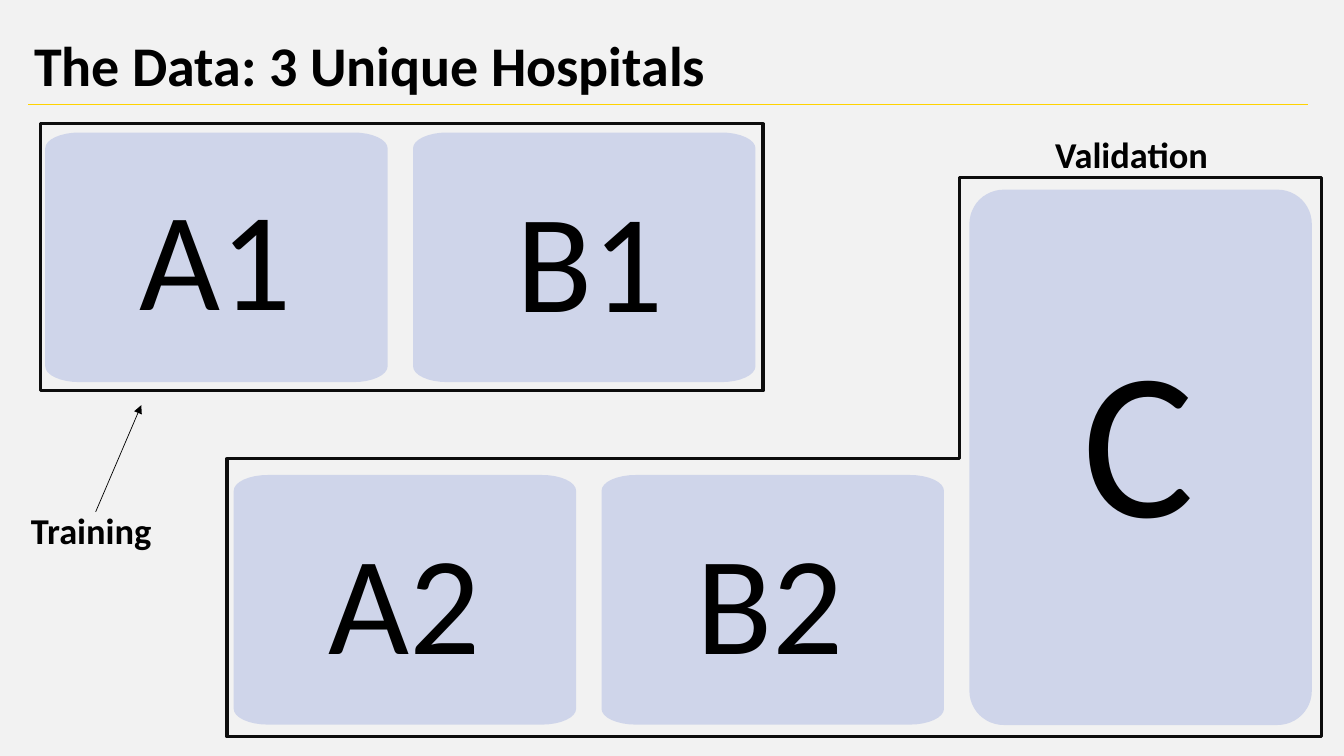
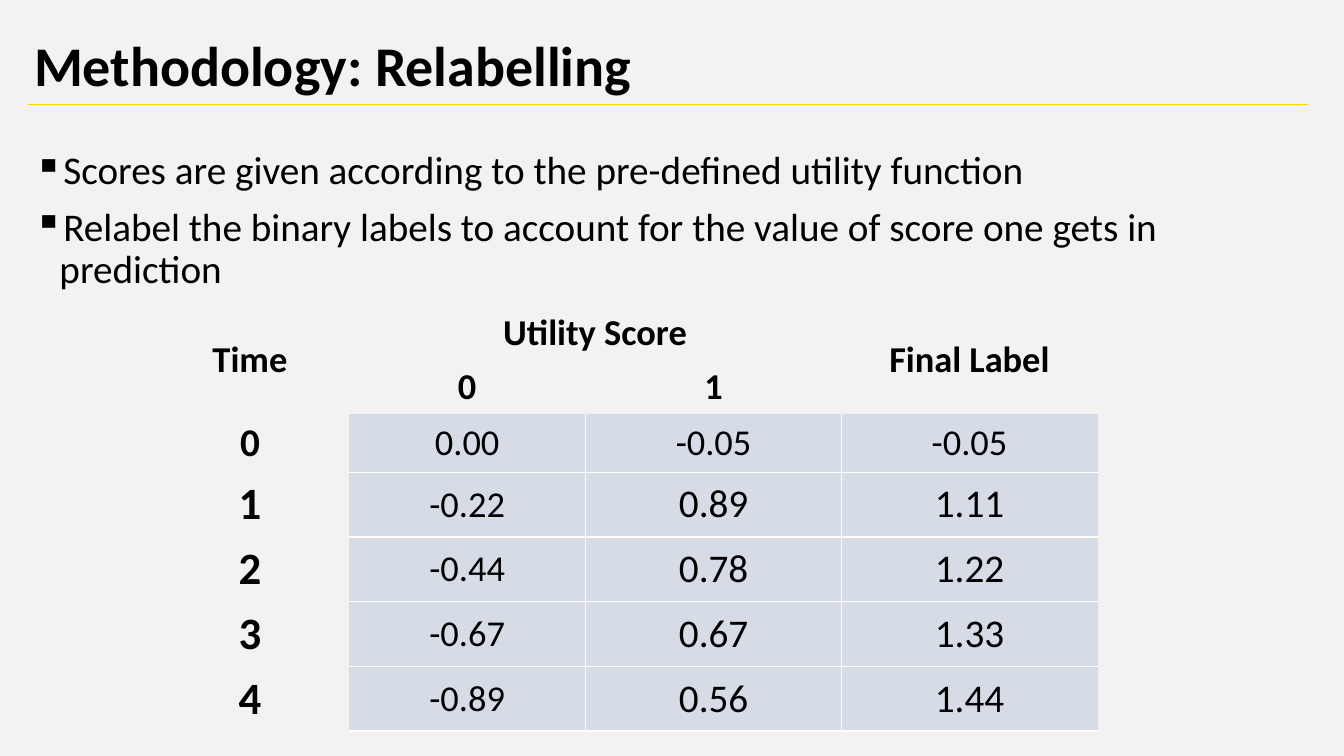
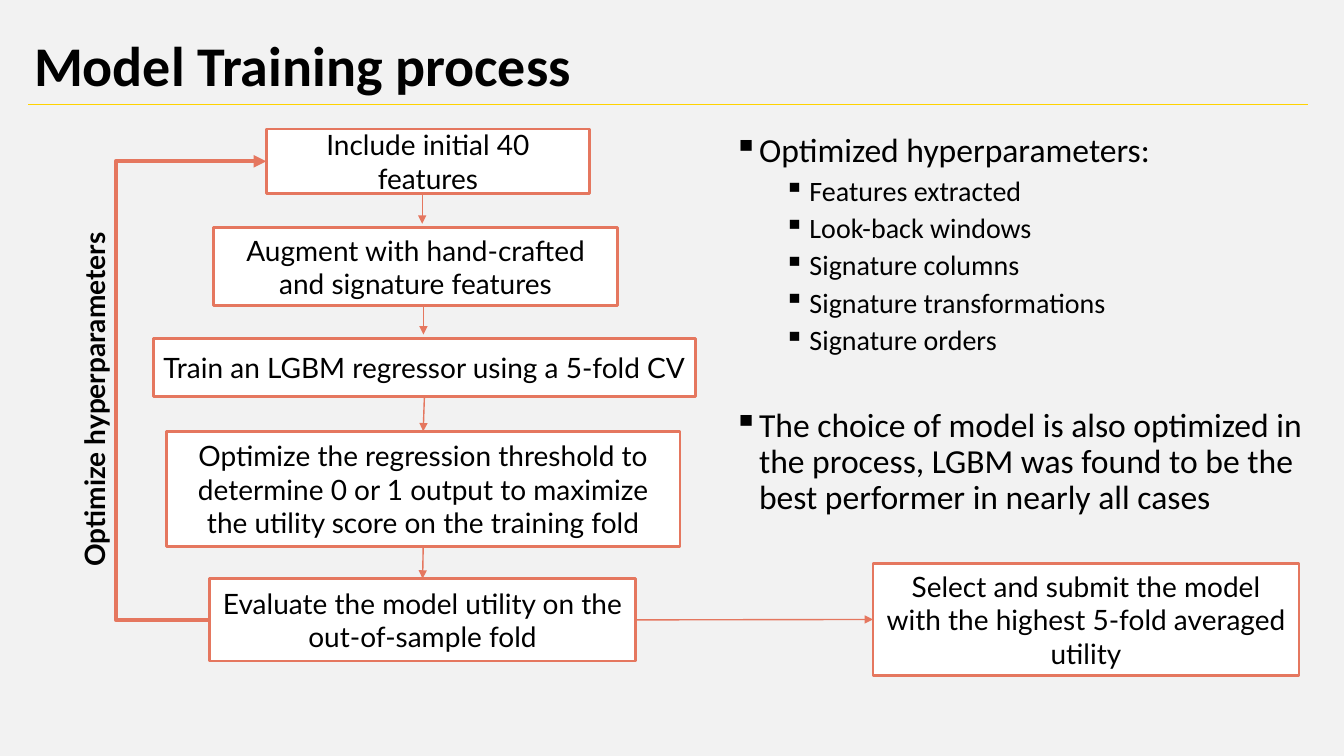
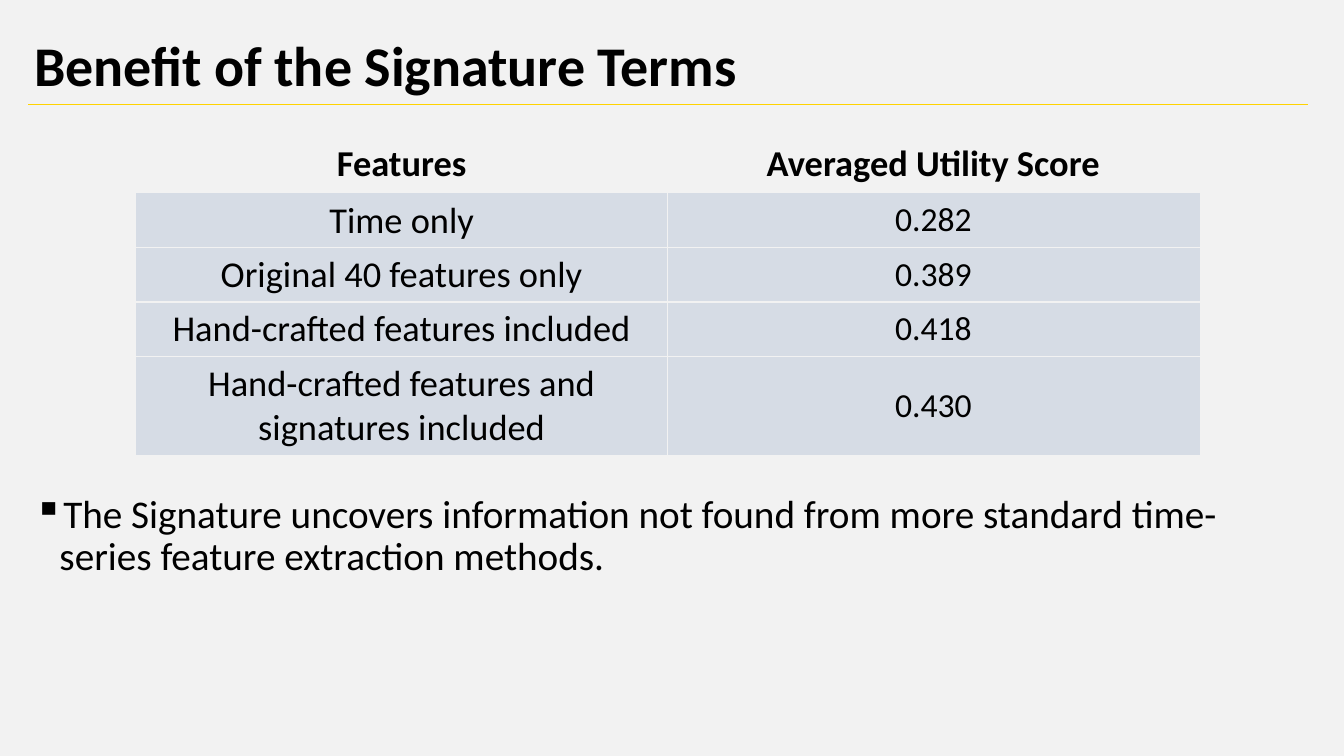
from math import cos, pi, sin

from lxml import etree
from pptx import Presentation
from pptx.dml.color import RGBColor
from pptx.enum.shapes import MSO_CONNECTOR, MSO_SHAPE
from pptx.enum.text import MSO_ANCHOR, PP_ALIGN
from pptx.oxml.ns import qn
from pptx.util import Cm, Pt

RECT = MSO_SHAPE.RECTANGLE
ROUND = MSO_SHAPE.ROUNDED_RECTANGLE
LINE = MSO_CONNECTOR.STRAIGHT
ELBOW = MSO_CONNECTOR.ELBOW
TOP = MSO_ANCHOR.TOP
MID = MSO_ANCHOR.MIDDLE
LEFT = PP_ALIGN.LEFT
MEAN = PP_ALIGN.CENTER

HUES = {
    "back": "F2F2F2",
    "rule": "FFD300",
    "text": "000000",
    "frame": "0D0D0D",
    "card": "CFD5EA",
    "cell": "D6DCE5",
    "white": "FFFFFF",
    "flow": "E5775F",
}
PLAIN = "{2D5ABB26-0587-4C30-8999-92F81FD0307C}"


def hue(name):
    return RGBColor.from_string(HUES[name])


def cms(*nums):
    return [Cm(num) for num in nums]


def write(frame, text, size=20, bold=False, font="Calibri", align=LEFT,
          space=None, before=None, indent=None):
    para = frame.paragraphs[-1]
    if para.runs:
        para = frame.add_paragraph()
    para.alignment = align
    if space:
        para.line_spacing = space
    if before:
        para.space_before = Pt(before)
    run = para.add_run()
    run.text = text
    run.font.name = font
    run.font.size = Pt(size)
    run.font.bold = bold
    run.font.color.rgb = hue("text")
    if indent:
        props = para._p.get_or_add_pPr()
        props.set("marL", str(Cm(indent)))
        props.set("indent", str(Cm(-0.64)))
        etree.SubElement(props, qn("a:buChar"), char="▪")


class Deck:
    def __init__(self):
        self.show = Presentation()
        self.show.slide_width, self.show.slide_height = cms(33.87, 19.05)
        fill = self.show.slide_master.background.fill
        fill.solid()
        fill.fore_color.rgb = hue("back")
        self.slide = None

    def page(self, title):
        self.slide = self.show.slides.add_slide(self.show.slide_layouts[6])
        self.line((0.71, 2.62), (32.97, 2.62), "rule", 0.5, head=False)
        self.text((0.61, 0.46, 32.46, 2.51), title, anchor=MID, size=40,
                  bold=True, space=0.9, before=10)

    def area(self, place, anchor=TOP):
        box = self.slide.shapes.add_textbox(*cms(*place))
        box.text_frame.word_wrap = True
        box.text_frame.vertical_anchor = anchor
        return box

    def text(self, place, text, anchor=TOP, turn=0, **style):
        box = self.area(place, anchor)
        box.rotation = turn
        write(box.text_frame, text, **style)

    def points(self, place, items):
        frame = self.area(place).text_frame
        for text, size, indent, before in items:
            write(frame, text, size=size, space=0.9, before=before,
                  indent=indent)

    def paint(self, shape, fill=None, edge=None, width=1):
        shape.shadow.inherit = False
        if fill:
            shape.fill.solid()
            shape.fill.fore_color.rgb = hue(fill)
        else:
            shape.fill.background()
        if edge:
            shape.line.color.rgb = hue(edge)
            shape.line.width = Pt(width)
        else:
            shape.line.fill.background()
        return shape

    def box(self, place, kind=RECT, **look):
        shape = self.slide.shapes.add_shape(kind, *cms(*place))
        return self.paint(shape, **look)

    def step(self, place, text):
        shape = self.box(place, fill="white", edge="flow", width=2)
        shape.text_frame.word_wrap = True
        shape.text_frame.vertical_anchor = MID
        write(shape.text_frame, text, font="Lato", align=MEAN)
        return shape

    def outline(self, spots, **look):
        spots = [cms(*spot) for spot in spots]
        pen = self.slide.shapes.build_freeform(*spots[0])
        pen.add_line_segments(spots[1:], close=True)
        return self.paint(pen.convert_to_shape(), **look)

    def card(self, left, top, wide=8.63, high=6.29, rx=0.86, ry=0.4):
        mids = [(left + wide - rx, top + high - ry), (left + rx, top + high - ry),
                (left + rx, top + ry), (left + wide - rx, top + ry)]
        spots = []
        for turn, (x, y) in enumerate(mids):
            for part in range(9):
                angle = (turn + part / 8) * pi / 2
                spots.append((x + rx * cos(angle), y + ry * sin(angle)))
        self.outline(spots, fill="card")

    def line(self, start, end, tint, width, head=True, joins=None, turn=None):
        kind = LINE if turn is None else ELBOW
        link = self.slide.shapes.add_connector(kind, *cms(*start, *end))
        if joins:
            first, out, last, into = joins
            link.begin_connect(first, out)
            link.end_connect(last, into)
        link.line.color.rgb = hue(tint)
        link.line.width = Pt(width)
        props = link.element.spPr
        if head:
            etree.SubElement(props.find(qn("a:ln")), qn("a:tailEnd"),
                             type="triangle")
        etree.SubElement(props, qn("a:effectLst"))
        if turn is not None:
            ratio = (turn - start[0]) / (end[0] - start[0])
            guides = props.find(qn("a:prstGeom")).find(qn("a:avLst"))
            etree.SubElement(guides, qn("a:gd"), name="adj1",
                             fmla=f"val {round(ratio * 100000)}")

    def border(self, cell, sides, tint):
        props = cell._tc.get_or_add_tcPr()
        for spot, side in enumerate(sides):
            edge = etree.Element(qn("a:ln" + side), w=str(Pt(1)))
            fill = etree.SubElement(edge, qn("a:solidFill"))
            etree.SubElement(fill, qn("a:srgbClr"), val=HUES[tint])
            props.insert(spot, edge)

    def table(self, spot, wides, highs, rows, sizes, heads, labels, tint,
              spans=()):
        shape = self.slide.shapes.add_table(
            len(rows), len(wides), *cms(*spot, sum(wides), sum(highs)))
        next(shape.element.iter(qn("a:tableStyleId"))).text = PLAIN
        table = shape.table
        table.first_row = table.horz_banding = False
        for col, wide in zip(table.columns, wides):
            col.width = Cm(wide)
        for row, high in zip(table.rows, highs):
            row.height = Cm(high)
        for first, last in spans:
            table.cell(*first).merge(table.cell(*last))
        for y, row in enumerate(rows):
            for x, text in enumerate(row):
                if text is None:
                    continue
                cell = table.cell(y, x)
                cell.vertical_anchor = MID
                bold = y < heads or x < labels
                write(cell.text_frame, text, size=sizes[y][x], bold=bold,
                      align=MEAN)
                if bold:
                    cell.fill.background()
                    continue
                cell.fill.solid()
                cell.fill.fore_color.rgb = hue("cell")
                sides = [("L", x > labels), ("R", x < len(row) - 1),
                         ("T", y > heads), ("B", True)]
                self.border(cell, [s for s, on in sides if on], tint)


def data(deck):
    deck.page("The Data: 3 Unique Hospitals")
    deck.box((1.02, 3.12, 18.21, 6.73), edge="frame", width=2.25)
    deck.outline([(5.72, 11.56), (24.18, 11.56), (24.18, 4.47),
                  (33.3, 4.47), (33.3, 18.57), (5.72, 18.57)],
                 edge="frame", width=2.25)
    for left, top in [(1.14, 3.34), (5.89, 11.97)]:
        for col in range(2):
            deck.card(left + col * 9.27, top)
    tall = deck.box((24.43, 4.78, 8.63, 13.49), ROUND, fill="card")
    tall.adjustments[0] = 0.1
    for name, left, top in [("A1", 1.45, 4.17), ("B1", 10.9, 4.22),
                            ("A2", 6.22, 12.85), ("B2", 15.44, 12.85)]:
        deck.text((left, top, 7.95, 4.52), name, size=100, align=MEAN)
    deck.text((24.71, 7.62, 7.95, 6.68), "C", size=150, align=MEAN)
    deck.text((0.53, 12.67, 3.56, 2.13), "Training", size=26, bold=True)
    deck.line((2.41, 12.9), (3.56, 10.21), "text", 0.5)
    deck.text((26.34, 3.2, 6.12, 2.13), "Validation", size=26, bold=True)


def labels(deck):
    deck.page("Methodology: Relabelling")
    deck.points((0.61, 3.68, 32.46, 13.89), [
        ("Scores are given according to the pre-defined utility function",
         28, 0.64, 10),
        ("Relabel the binary labels to account for the value of score one "
         "gets in prediction", 28, 0.64, 10),
    ])
    rows = [
        ["Time", "Utility Score", None, "Final Label"],
        [None, "0", "1", None],
        ["0", "0.00", "-0.05", "-0.05"],
        ["1", "-0.22", "0.89", "1.11"],
        ["2", "-0.44", "0.78", "1.22"],
        ["3", "-0.67", "0.67", "1.33"],
        ["4", "-0.89", "0.56", "1.44"],
    ]
    sizes = [[26] * 4] * 2 + [[28, 26, 26, 26]] + [[32, 26, 28, 28]] * 4
    deck.table((3.81, 7.7), [4.98, 5.97, 6.45, 6.45],
               [1.37, 1.37, 1.46] + [1.63] * 4, rows, sizes, 2, 1, "white",
               [((0, 0), (1, 0)), ((0, 1), (0, 2)), ((0, 3), (1, 3))])


def train(deck):
    deck.page("Model Training process")
    first = deck.step((6.71, 3.25, 8.15, 1.63), "Include initial 40 features")
    deck.step((5.38, 5.74, 10.19, 1.96),
              "Augment with hand-crafted and signature features")
    fit = deck.step((3.86, 8.53, 13.67, 1.47),
                    "Train an LGBM regressor using a 5-fold CV")
    tune = deck.step((4.19, 10.87, 12.95, 2.9),
                     "Optimize the regression threshold to determine 0 or 1 "
                     "output to maximize the utility score on the training fold")
    test = deck.step((5.28, 14.58, 10.74, 2.08),
                     "Evaluate the model utility on the out-of-sample fold")
    pick = deck.step((22, 14.2, 10.74, 2.82),
                     "Select and submit the model with the highest 5-fold "
                     "averaged utility")
    for start, end, joins in [
        ((10.64, 4.9), (10.64, 5.64), None),
        ((10.67, 7.7), (10.67, 8.43), None),
        ((10.67, 10), (10.67, 10.87), (fit, 2, tune, 0)),
        ((10.66, 13.77), (10.66, 14.58), (tune, 2, test, 0)),
        ((16.02, 15.62), (22, 15.62), (test, 3, pick, 1)),
    ]:
        deck.line(start, end, "flow", 1, joins=joins)
    deck.line((5.28, 15.62), (6.71, 4.07), "flow", 3,
              joins=(test, 1, first, 1), turn=2.92)
    deck.text((-3, 9.58, 10.74, 0.97), "Optimize hyperparameters", anchor=MID,
              turn=270, bold=True, font="Lato", align=MEAN)
    parts = ["Features extracted", "Look-back windows", "Signature columns",
             "Signature transformations", "Signature orders"]
    deck.points((18.24, 3.25, 15.34, 10.52), [
        ("Optimized hyperparameters:", 24, 0.64, 10),
        *[(part, 20, 1.91, 5) for part in parts],
        ("The choice of model is also optimized in the process, LGBM was "
         "found to be the best performer in nearly all cases", 24, 0.64, 37),
    ])


def gain(deck):
    deck.page("Benefit of the Signature Terms")
    rows = [
        ["Features", "Averaged Utility Score"],
        ["Time only", "0.282"],
        ["Original 40 features only", "0.389"],
        ["Hand-crafted features included", "0.418"],
        ["Hand-crafted features and signatures included", "0.430"],
    ]
    deck.table((3.43, 3.4), [13.39, 13.41], [1.47, 1.37, 1.37, 1.37, 2.49],
               rows, [[26, 26]] + [[26, 24]] * 4, 1, 0, "back")
    deck.points((0.61, 12.34, 32.46, 5.84), [
        ("The Signature uncovers information not found from more standard "
         "time-series feature extraction methods.", 28, 0.64, 10),
    ])


def main():
    deck = Deck()
    for build in (data, labels, train, gain):
        build(deck)
    deck.show.save("out.pptx")


if __name__ == "__main__":
    main()
